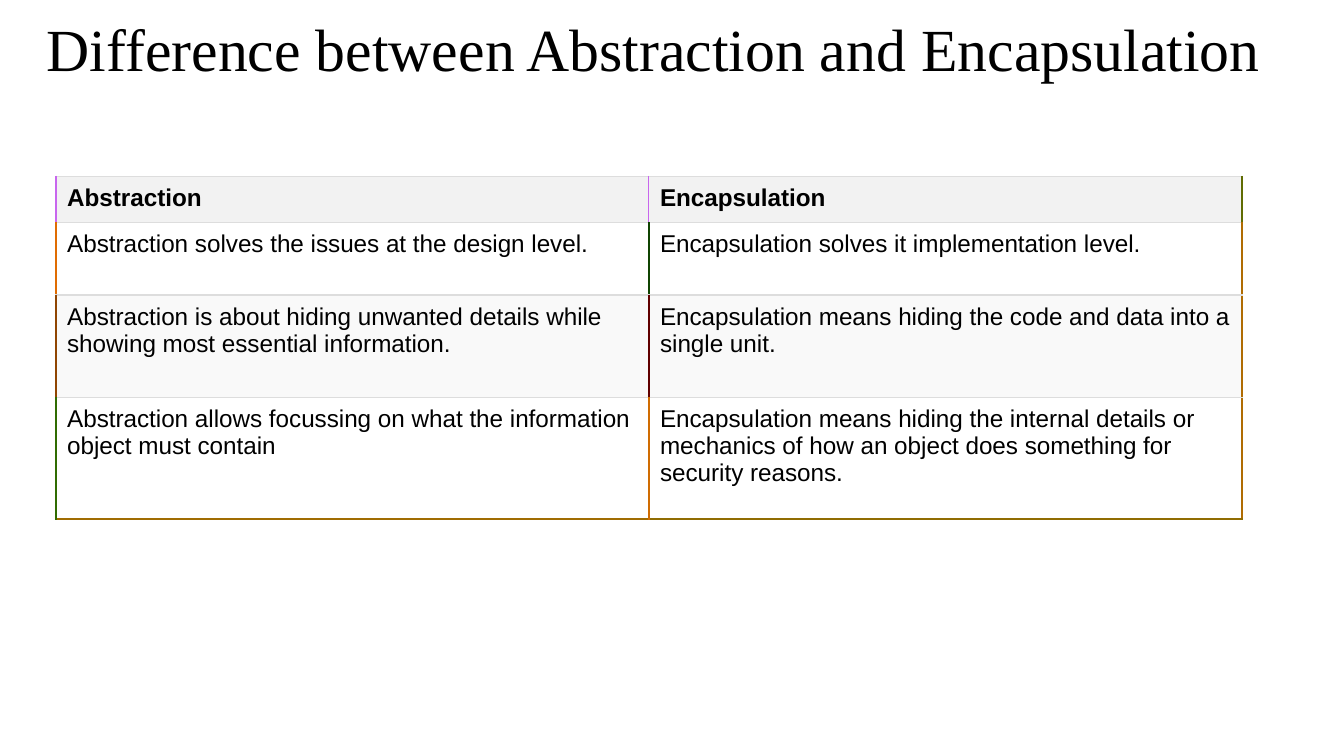
from lxml import etree
from pptx import Presentation
from pptx.dml.color import RGBColor
from pptx.enum.text import MSO_ANCHOR
from pptx.oxml.ns import qn
from pptx.util import Pt

PX = 9525  # 96 px to the inch
MIDDLE = MSO_ANCHOR.MIDDLE

COLORS = {
    "text": "000000", "header": "F2F2F2", "plain": "FFFFFF", "band": "F9F9F9",
    "rule": "DDDDDD", "violet": "C866EE", "olive": "606C02", "orange": "E06C02",
    "green": "104402", "ochre": "B06C02", "brown": "904502", "maroon": "600000",
    "leaf": "306C02", "amber": "D06C02", "gold": "A06C02", "bronze": "906C02",
}

# Row height, fill, colours of the three vertical edges, cell texts
ROWS = [
    (32, "header", ("violet", "violet", "olive"),
     ("Abstraction", "Encapsulation")),
    (52, "plain", ("orange", "green", "ochre"),
     ("Abstraction solves the issues at the design level.",
      "Encapsulation solves it implementation level.")),
    (73, "band", ("brown", "maroon", "ochre"),
     ("Abstraction is about hiding unwanted details while showing most "
      "essential information.",
      "Encapsulation means hiding the code and data into a single unit.")),
    (87, "plain", ("leaf", "amber", "ochre"),
     ("Abstraction allows focussing on what the information object must contain",
      "Encapsulation means hiding the internal details or mechanics of how an "
      "object does something for security reasons.")),
]
BOTTOM_EDGES = ("gold", "bronze")
THIN_EDGES = ("rule", "violet")


def rgb(name):
    return RGBColor.from_string(COLORS[name])


def set_font(paragraph, face, size, bold=False):
    font = paragraph.font
    font.name, font.size, font.bold = face, Pt(size), bold
    font.color.rgb = rgb("text")


def add_edge(cell, tag, color):
    width = Pt(0.75 if color in THIN_EDGES else 1)
    edge = etree.SubElement(cell._tc.get_or_add_tcPr(), qn(tag), w=str(width))
    fill = etree.SubElement(edge, qn("a:solidFill"))
    etree.SubElement(fill, qn("a:srgbClr"), val=COLORS[color])


def add_title(slide, left, top, width, height):
    title = slide.shapes.add_textbox(left * PX, top * PX, width * PX, height * PX)
    frame = title.text_frame
    frame.word_wrap = True
    frame.vertical_anchor = MIDDLE
    heading = frame.paragraphs[0]
    heading.text = "Difference between Abstraction and Encapsulation"
    heading.line_spacing = 1.04
    set_font(heading, "Times New Roman", 32)


def fill_cell(cell, text, fill, edges, bold):
    """Edges are colour names in the order left, right, top, bottom."""
    cell.margin_left = cell.margin_right = 8 * PX
    cell.margin_top = cell.margin_bottom = 6 * PX
    for tag, color in zip(("a:lnL", "a:lnR", "a:lnT", "a:lnB"), edges):
        add_edge(cell, tag, color)
    cell.fill.solid()
    cell.fill.fore_color.rgb = rgb(fill)
    cell.text = text
    set_font(cell.text_frame.paragraphs[0], "Arial", 13, bold)


def add_comparison(slide, left, top, width):
    height = sum(row[0] for row in ROWS)
    table = slide.shapes.add_table(
        len(ROWS), 2, left * PX, top * PX, width * PX, height * PX).table
    for column in table.columns:
        column.width = width * PX // 2
    for r, (row_height, fill, verticals, texts) in enumerate(ROWS):
        table.rows[r].height = row_height * PX
        for c, text in enumerate(texts):
            bottom = BOTTOM_EDGES[c] if r == len(ROWS) - 1 else "rule"
            edges = (verticals[c], verticals[c + 1], "rule", bottom)
            fill_cell(table.cell(r, c), text, fill, edges, bold=r == 0)


def main():
    deck = Presentation()
    deck.slide_width, deck.slide_height = 960 * PX, 540 * PX
    slide = deck.slides.add_slide(deck.slide_layouts[6])
    add_title(slide, 24, 0, 911, 66)
    add_comparison(slide, 40, 126, 847)
    deck.save("out.pptx")


if __name__ == "__main__":
    main()
